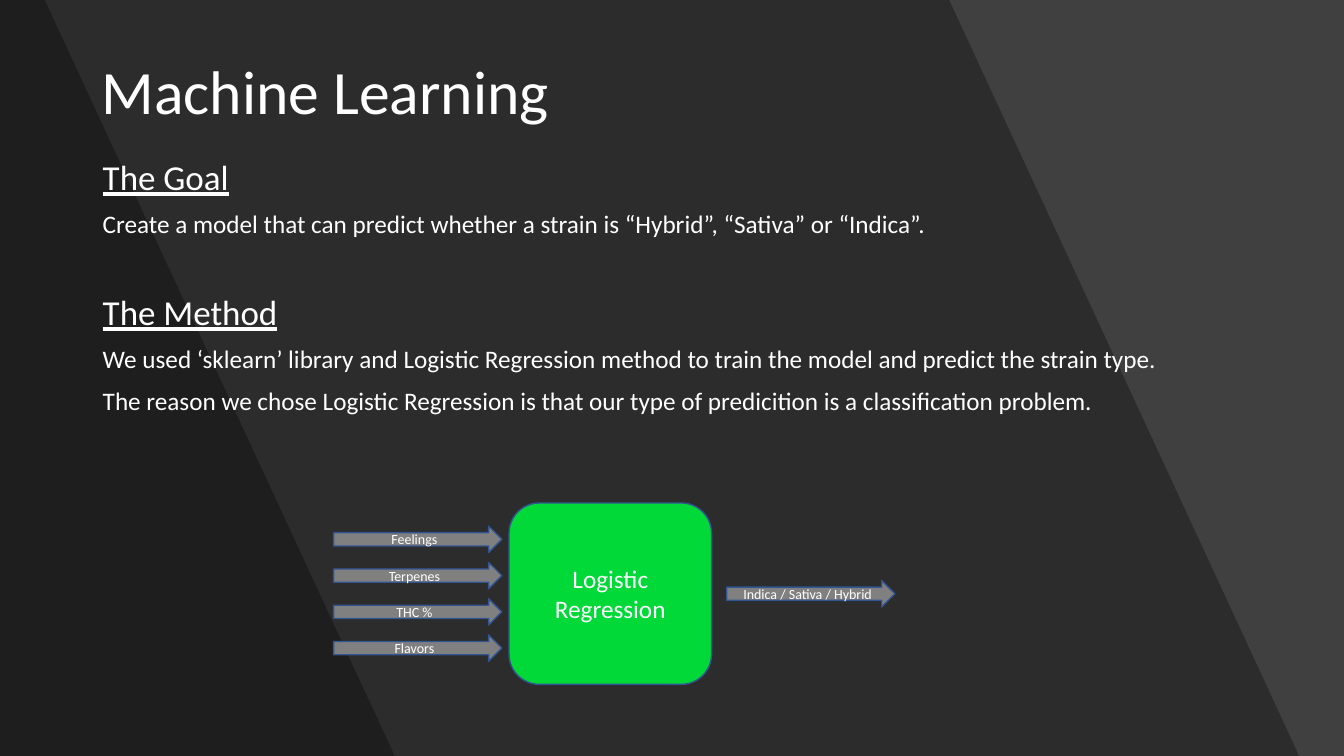
import pptx
import pptx.util
import pptx.dml.color
import pptx.enum.shapes
import pptx.enum.text
import pptx.oxml
import pptx.oxml.ns
from dataclasses import dataclass

Pt = pptx.util.Pt
SHAPE = pptx.enum.shapes.MSO_SHAPE
ALIGN = pptx.enum.text.PP_ALIGN
ANCHOR = pptx.enum.text.MSO_ANCHOR

# Content
HEADLINE = "Machine Learning"
SECTIONS = [
    ("The Goal", [
        "Create a model that can predict whether a strain is “Hybrid”, “Sativa” or “Indica”.",
    ]),
    ("The Method", [
        "We used ‘sklearn’ library and Logistic Regression method to train the model and predict the strain type.",
        "The reason we chose Logistic Regression is that our type of predicition is a classification problem.",
    ]),
]
MODEL = "Logistic Regression"
INPUTS = ["Feelings", "Terpenes", "THC %", "Flavors"]
OUTPUT = "Indica / Sativa / Hybrid"


@dataclass(frozen=True)
class Theme:
    font: str = "Calibri"
    background: str = "404040"
    shade: str = "000000"
    text: str = "FFFFFF"
    model: str = "00D938"
    arrow: str = "808080"
    outline: str = "325491"
    title_size: int = 44
    heading_size: int = 25
    body_size: int = 18
    label_size: int = 10


THEME = Theme()

# Layout, in points
SLIDE_W, SLIDE_H = 960, 540
TITLE_BOX = (65.5, 15.1, 828.7, 104.4)
BODY_BOX = (66.2, 110.9, 828, 326.9)
BANDS = [(678.2, 928.1), (31.7, 282.2)]  # right edge at top and bottom
MODEL_BOX = (363.6, 359.3, 144.7, 129.6)
ARROW_W, ARROW_H, ARROW_PITCH = 120.2, 18.9, 25.9
INPUT_LEFT, OUTPUT_LEFT = 238.3, 519.1
LINE_SPACING, PARAGRAPH_GAP, SECTION_GAP = 0.9, 10, 40


def rgb(code):
    return pptx.dml.color.RGBColor.from_string(code)


def place(placeholder, box):
    placeholder.left, placeholder.top, placeholder.width, placeholder.height = map(Pt, box)
    placeholder.text_frame.word_wrap = True
    placeholder.text_frame.auto_size = pptx.enum.text.MSO_AUTO_SIZE.NONE
    return placeholder.text_frame


def write(paragraph, words, size, underline=False):
    run = paragraph.add_run()
    run.text = words
    run.font.name = THEME.font
    run.font.size = Pt(size)
    run.font.color.rgb = rgb(THEME.text)
    run.font.underline = underline


def add_band(slide, top_x, bottom_x):
    outline = slide.shapes.build_freeform(0, 0, scale=Pt(1))
    outline.add_line_segments([(top_x, 0), (bottom_x, SLIDE_H), (0, SLIDE_H)], close=True)
    band = outline.convert_to_shape()
    band.shadow.inherit = False
    band.fill.solid()
    band.fill.fore_color.rgb = rgb(THEME.shade)
    band.line.fill.background()
    # 30 % opacity, placed behind the text
    shade = band.fill._xPr.find(".//" + pptx.oxml.ns.qn("a:srgbClr"))
    shade.append(pptx.oxml.parse_xml(
        f'<a:alpha {pptx.oxml.ns.nsdecls("a")} val="30000"/>'))
    slide.shapes.title._element.addprevious(band._element)


def add_node(slide, kind, box, words, fill, size):
    node = slide.shapes.add_shape(kind, *map(Pt, box))
    node.shadow.inherit = False
    node.fill.solid()
    node.fill.fore_color.rgb = rgb(fill)
    node.line.color.rgb = rgb(THEME.outline)
    node.line.width = Pt(1)
    node.text_frame.word_wrap = True
    node.text_frame.vertical_anchor = ANCHOR.MIDDLE
    label = node.text_frame.paragraphs[0]
    label.alignment = ALIGN.CENTER
    write(label, words, size)


def add_arrow(slide, left, center, words):
    add_node(slide, SHAPE.RIGHT_ARROW, (left, center - ARROW_H / 2, ARROW_W, ARROW_H),
             words, THEME.arrow, THEME.label_size)


def fill_body(frame):
    lines = []
    for index, (heading, sentences) in enumerate(SECTIONS):
        lines.append((heading, THEME.heading_size, True, SECTION_GAP if index else 0))
        lines += [(sentence, THEME.body_size, False, PARAGRAPH_GAP) for sentence in sentences]
    for index, (words, size, underline, gap) in enumerate(lines):
        paragraph = frame.add_paragraph() if index else frame.paragraphs[0]
        properties = paragraph._p.get_or_add_pPr()
        properties.set("marL", "0")
        properties.set("indent", "0")
        properties.append(pptx.oxml.parse_xml(f'<a:buNone {pptx.oxml.ns.nsdecls("a")}/>'))
        paragraph.line_spacing = LINE_SPACING
        paragraph.space_before = Pt(gap)
        write(paragraph, words, size, underline)


def main():
    deck = pptx.Presentation()
    deck.slide_width, deck.slide_height = Pt(SLIDE_W), Pt(SLIDE_H)
    slide = deck.slides.add_slide(deck.slide_layouts[1])

    # Backdrop
    slide.background.fill.solid()
    slide.background.fill.fore_color.rgb = rgb(THEME.background)
    for top_x, bottom_x in BANDS:
        add_band(slide, top_x, bottom_x)

    # Title and body
    title = place(slide.shapes.title, TITLE_BOX)
    title.vertical_anchor = ANCHOR.MIDDLE
    headline = title.paragraphs[0]
    headline.alignment = ALIGN.LEFT
    headline.line_spacing = LINE_SPACING
    write(headline, HEADLINE, THEME.title_size)
    fill_body(place(slide.placeholders[1], BODY_BOX))

    # Model diagram: arrows are centred on the model box
    add_node(slide, SHAPE.ROUNDED_RECTANGLE, MODEL_BOX, MODEL, THEME.model, THEME.body_size)
    middle = MODEL_BOX[1] + MODEL_BOX[3] / 2
    for index, feature in enumerate(INPUTS):
        offset = (index - (len(INPUTS) - 1) / 2) * ARROW_PITCH
        add_arrow(slide, INPUT_LEFT, middle + offset, feature)
    add_arrow(slide, OUTPUT_LEFT, middle, OUTPUT)

    deck.save("out.pptx")


if __name__ == "__main__":
    main()
